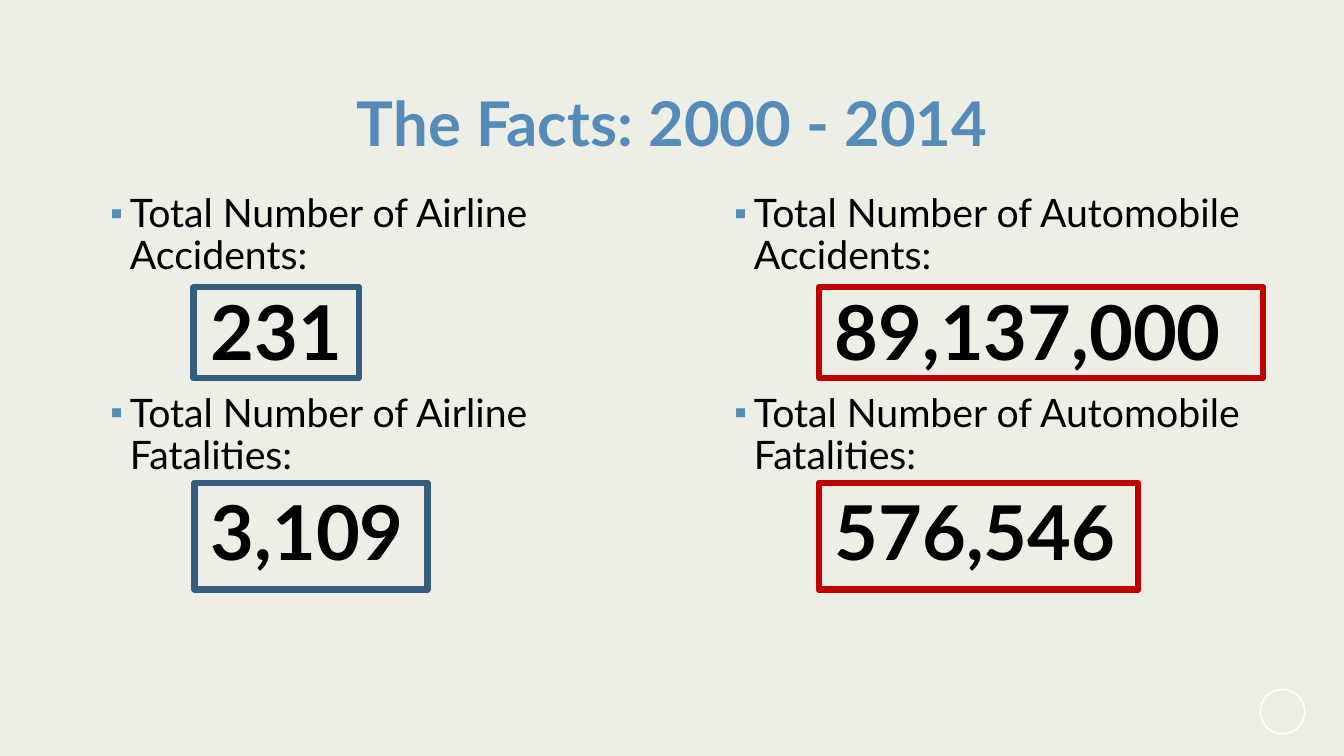
from dataclasses import dataclass

from lxml import etree
from pptx import Presentation
from pptx.dml.color import RGBColor
from pptx.enum.shapes import MSO_SHAPE
from pptx.enum.text import MSO_ANCHOR, PP_ALIGN
from pptx.oxml.ns import qn
from pptx.util import Inches, Pt

RECTANGLE, OVAL = MSO_SHAPE.RECTANGLE, MSO_SHAPE.OVAL
TOP, MIDDLE = MSO_ANCHOR.TOP, MSO_ANCHOR.MIDDLE
LEFT, CENTER = PP_ALIGN.LEFT, PP_ALIGN.CENTER
SLIDE_WIDTH, SLIDE_HEIGHT = Inches(13.33), Inches(7.5)


@dataclass(frozen=True)
class Theme:
    font: str = "Lato"
    background: str = "EDEEE6"
    accent: str = "558BB8"
    text: str = "000000"
    airline: str = "355D7E"
    automobile: str = "C00000"
    badge: str = "FFFFFF"
    title_size: int = 44
    label_size: int = 28
    figure_size: int = 54
    frame_line: float = 4.5
    badge_line: float = 1


@dataclass(frozen=True)
class Area:
    """Percentages of the slide width and height."""
    left: float
    top: float
    width: float
    height: float

    def lengths(self) -> tuple[int, int, int, int]:
        return (int(SLIDE_WIDTH * self.left / 100), int(SLIDE_HEIGHT * self.top / 100),
                int(SLIDE_WIDTH * self.width / 100), int(SLIDE_HEIGHT * self.height / 100))


@dataclass(frozen=True)
class Fact:
    measure: str
    figure: str
    frame_left: float
    frame_width: float


@dataclass(frozen=True)
class FactColumn:
    subject: str
    left: float
    width: float
    color: str
    facts: tuple[Fact, Fact]


THEME = Theme()
TITLE_AREA = Area(22.43, 11.07, 55.21, 11.33)
BADGE_AREA = Area(93.77, 91.2, 3.3, 5.87)
COLUMN_TOP, COLUMN_HEIGHT = 24.93, 61.2
FRAME_ROWS = ((38, 12), (63.87, 14.13))
COLUMNS = (
    FactColumn("Airline", 7.43, 38.71, THEME.airline, (
        Fact("Accidents", "231", 14.4, 12.3),
        Fact("Fatalities", "3,109", 14.48, 17.33))),
    FactColumn("Automobile", 53.86, 40.06, THEME.automobile, (
        Fact("Accidents", "89,137,000", 60.92, 33.08),
        Fact("Fatalities", "576,546", 60.92, 23.78))),
)


def apply_format(target, values: dict) -> None:
    for name, value in values.items():
        setattr(target, name, value)


def add_text_frame(slide, area: Area, anchor):
    text_frame = slide.shapes.add_textbox(*area.lengths()).text_frame
    apply_format(text_frame, {"word_wrap": True, "vertical_anchor": anchor})
    return text_frame


def write_paragraph(paragraph, text: str, size: int, color: str, bold: bool, alignment=LEFT) -> None:
    apply_format(paragraph, {"alignment": alignment, "line_spacing": 0.9, "space_before": Pt(12)})
    run = paragraph.add_run()
    run.text = text
    apply_format(run.font, {"name": THEME.font, "size": Pt(size), "bold": bold})
    run.font.color.rgb = RGBColor.from_string(color)


def indent_paragraph(paragraph, margin: float, first_line: float):
    properties = paragraph._p.get_or_add_pPr()
    properties.set("marL", str(Inches(margin)))
    properties.set("indent", str(Inches(first_line)))
    return properties


def add_bullet(paragraph) -> None:
    properties = indent_paragraph(paragraph, 0.2, -0.2)
    bullet_color = etree.SubElement(properties, qn("a:buClr"))
    etree.SubElement(bullet_color, qn("a:srgbClr"), val=THEME.accent)
    etree.SubElement(properties, qn("a:buSzPct"), val="85000")
    etree.SubElement(properties, qn("a:buFont"), typeface=THEME.font)
    etree.SubElement(properties, qn("a:buChar"), char="▪")


def add_outline(slide, preset, area: Area, color: str, line_width: float) -> None:
    shape = slide.shapes.add_shape(preset, *area.lengths())
    shape.shadow.inherit = False
    shape.fill.background()
    shape.line.color.rgb = RGBColor.from_string(color)
    shape.line.width = Pt(line_width)


def add_fact_column(slide, column: FactColumn) -> None:
    area = Area(column.left, COLUMN_TOP, column.width, COLUMN_HEIGHT)
    text_frame = add_text_frame(slide, area, TOP)
    for index, (fact, (top, height)) in enumerate(zip(column.facts, FRAME_ROWS)):
        label = text_frame.add_paragraph() if index else text_frame.paragraphs[0]
        write_paragraph(label, f"Total Number of {column.subject} {fact.measure}:",
                        THEME.label_size, THEME.text, False)
        add_bullet(label)
        figure = text_frame.add_paragraph()
        write_paragraph(figure, fact.figure, THEME.figure_size, THEME.text, True)
        indent_paragraph(figure, 1, 0)
        frame = Area(fact.frame_left, top, fact.frame_width, height)
        add_outline(slide, RECTANGLE, frame, column.color, THEME.frame_line)


def build() -> None:
    presentation = Presentation()
    apply_format(presentation, {"slide_width": SLIDE_WIDTH, "slide_height": SLIDE_HEIGHT})
    slide = presentation.slides.add_slide(presentation.slide_layouts[6])
    slide.background.fill.solid()
    slide.background.fill.fore_color.rgb = RGBColor.from_string(THEME.background)
    add_outline(slide, OVAL, BADGE_AREA, THEME.badge, THEME.badge_line)
    title = add_text_frame(slide, TITLE_AREA, MIDDLE).paragraphs[0]
    write_paragraph(title, "The Facts: 2000 - 2014", THEME.title_size, THEME.accent, True, CENTER)
    for column in COLUMNS:
        add_fact_column(slide, column)
    presentation.save("out.pptx")


build()
